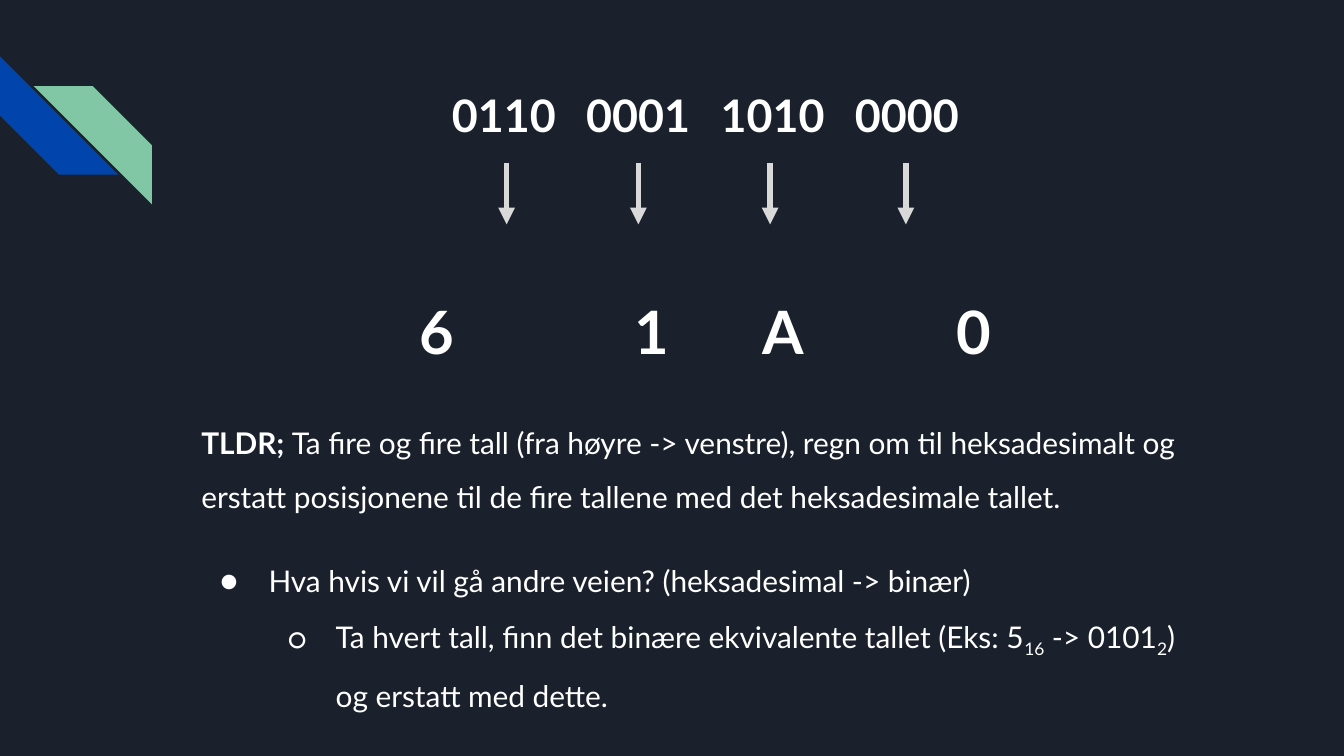
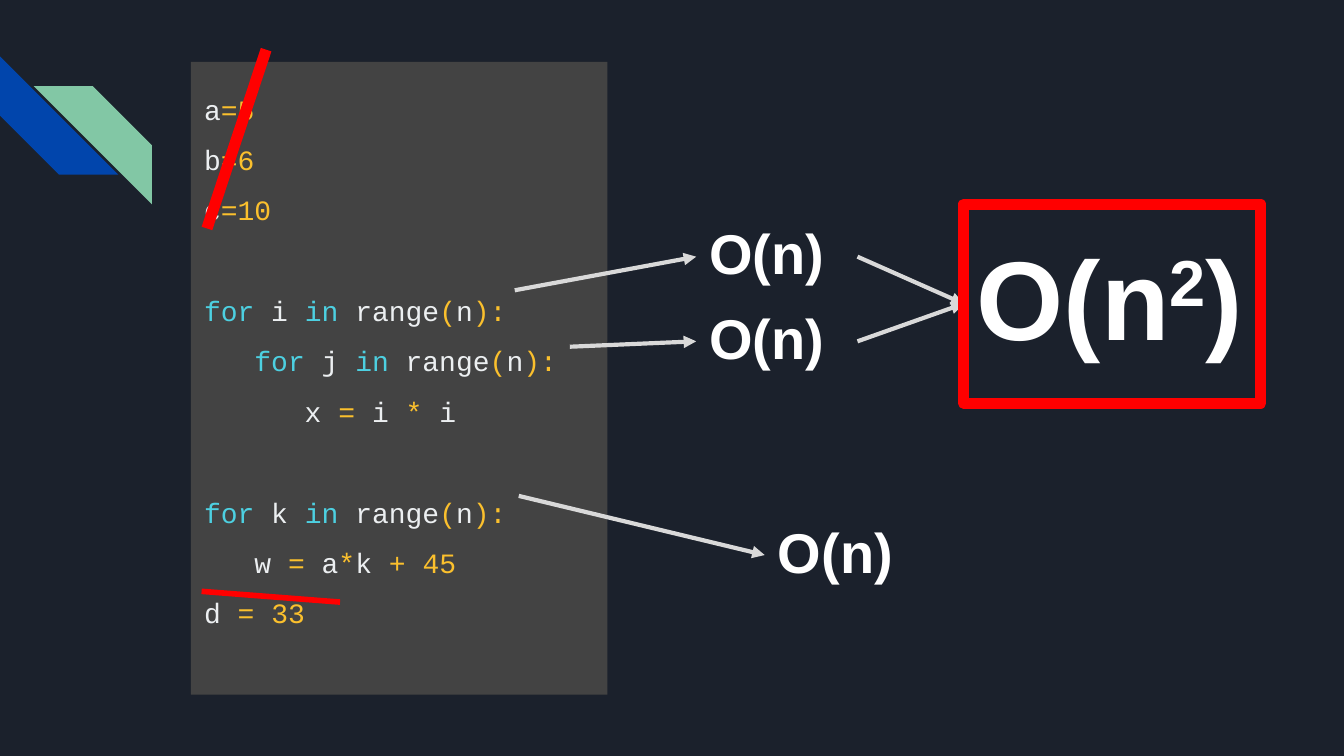
from itertools import groupby

from lxml import etree
from pptx import Presentation
from pptx.dml.color import RGBColor
from pptx.enum.shapes import MSO_CONNECTOR, MSO_SHAPE
from pptx.enum.text import MSO_ANCHOR, PP_ALIGN
from pptx.oxml.ns import qn
from pptx.util import Inches, Pt

STRAIGHT = MSO_CONNECTOR.STRAIGHT
RECTANGLE = MSO_SHAPE.RECTANGLE
DIAGONAL_STRIPE = MSO_SHAPE.DIAGONAL_STRIPE
TOP = MSO_ANCHOR.TOP
LEFT = PP_ALIGN.LEFT

NAVY = RGBColor(0x1B, 0x21, 0x2C)
BLUE = RGBColor(0x01, 0x45, 0xAC)
GREEN = RGBColor(0x82, 0xC7, 0xA5)
WHITE = RGBColor(0xFF, 0xFF, 0xFF)
LIGHT_GRAY = RGBColor(0xD9, 0xD9, 0xD9)
CODE_GRAY = RGBColor(0x43, 0x43, 0x43)
CODE_TEXT = RGBColor(0xEC, 0xEF, 0xF1)
CODE_AMBER = RGBColor(0xFB, 0xC0, 0x2D)
CODE_CYAN = RGBColor(0x4D, 0xD0, 0xE1)
RED = RGBColor(0xFF, 0x00, 0x00)

BODY = {"name": "Lato", "size": Pt(16), "color": WHITE, "bold": False}
BODY_BOLD = {**BODY, "bold": True}
CODE = {"name": "Courier New", "size": Pt(15)}
COST = {"name": "Arial", "size": Pt(30), "color": WHITE, "bold": True}
RESULT = {**COST, "size": Pt(60)}

KEYWORDS = {"for", "in"}
CODE_BLOCKS = [
    ["a=5", "b=6", "c=10"],
    ["for i in range(n):", "   for j in range(n):", "      x = i * i"],
    ["for k in range(n):", "   w = a*k + 45", "d = 33"],
]


# Text
def add_run(paragraph, text, formats, baseline=0):
    run = paragraph.add_run()
    run.text = text
    for name, value in formats.items():
        if name == "color":
            run.font.color.rgb = value
        else:
            setattr(run.font, name, value)
    if baseline:
        run._r.get_or_add_rPr().set("baseline", str(baseline * 1000))


def set_frame(shape):
    frame = shape.text_frame
    margins = ("margin_left", "margin_top", "margin_right", "margin_bottom")
    for margin in margins:
        setattr(frame, margin, Inches(0.1))
    frame.word_wrap = True
    frame.vertical_anchor = TOP
    return frame


def add_text_box(slide, left, top, width, height):
    box = slide.shapes.add_textbox(
        Inches(left), Inches(top), Inches(width), Inches(height))
    return set_frame(box)


def add_paragraph(frame, **settings):
    """Use the empty first paragraph of a frame, then add new ones."""
    first = frame.paragraphs[0]
    paragraph = frame.add_paragraph() if first.runs else first
    for name, value in settings.items():
        setattr(paragraph, name, value)
    return paragraph


def add_bullet(paragraph, character, indent):
    properties = paragraph._p.get_or_add_pPr()
    properties.set("marL", str(Inches(indent)))
    properties.set("indent", str(Inches(-0.36)))
    color = etree.SubElement(properties, qn("a:buClr"))
    etree.SubElement(color, qn("a:srgbClr"), val=str(WHITE))
    etree.SubElement(properties, qn("a:buSzPts"), val="1600")
    etree.SubElement(properties, qn("a:buFont"), typeface=BODY["name"])
    etree.SubElement(properties, qn("a:buChar"), char=character)


def add_columns(paragraph, values, centres, size):
    """Centre each value under its own tab stop."""
    tabs = etree.SubElement(paragraph._p.get_or_add_pPr(), qn("a:tabLst"))
    for centre in centres:
        etree.SubElement(
            tabs, qn("a:tab"), pos=str(Inches(centre)), algn="ctr")
    text = "".join("\t" + value for value in values)
    add_run(paragraph, text, {**BODY_BOLD, "size": Pt(size)})


# Shapes and lines
def add_shape(slide, kind, left, top, width, height, fill=None):
    shape = slide.shapes.add_shape(
        kind, Inches(left), Inches(top), Inches(width), Inches(height))
    shape.shadow.inherit = False
    shape.line.fill.background()
    if fill is None:
        shape.fill.background()
    else:
        shape.fill.solid()
        shape.fill.fore_color.rgb = fill
    return shape


def add_line(slide, start, end, color, width, arrow=False):
    points = [Inches(value) for value in (*start, *end)]
    connector = slide.shapes.add_connector(STRAIGHT, *points)
    connector.line.color.rgb = color
    connector.line.width = Pt(width)
    if arrow:
        line = connector.line._get_or_add_ln()
        etree.SubElement(line, qn("a:tailEnd"), type="triangle")
    etree.SubElement(connector._element.spPr, qn("a:effectLst"))


def add_base_slide(presentation):
    slide = presentation.slides.add_slide(presentation.slide_layouts[6])
    slide.background.fill.solid()
    slide.background.fill.fore_color.rgb = NAVY
    blue = add_shape(slide, DIAGONAL_STRIPE, 0, 0.42, 0.88, 0.88, BLUE)
    blue.rotation = 270
    green = add_shape(slide, DIAGONAL_STRIPE, 0.25, 0.64, 0.88, 0.88, GREEN)
    green._element.spPr.find(qn("a:xfrm")).set("flipH", "1")
    return slide


# Slide 1: binary to hexadecimal
def build_hexadecimal_slide(presentation):
    slide = add_base_slide(presentation)
    frame = add_text_box(slide, 1.4, 0.49, 7.7, 4.76)

    nibbles = add_paragraph(frame, line_spacing=1.15)
    add_columns(nibbles, ["0110", "0001", "1010", "0000"],
                [2.25, 3.25, 4.25, 5.25], 24)
    digits = add_paragraph(frame, line_spacing=1.5, space_before=Pt(63))
    add_columns(digits, "61A0", [1.75, 3.35, 4.33, 5.75], 32)

    summary = add_paragraph(frame, line_spacing=1.5, space_before=Pt(22))
    add_run(summary, "TLDR; ", BODY_BOLD)
    add_run(summary, "Ta fire og fire tall (fra høyre -> venstre), regn om "
            "til heksadesimalt og erstatt posisjonene til de fire tallene "
            "med det heksadesimale tallet.", BODY)

    question = add_paragraph(frame, line_spacing=1.5, space_before=Pt(16))
    add_bullet(question, "●", 0.5)
    add_run(question,
            "Hva hvis vi vil gå andre veien? (heksadesimal -> binær)", BODY)

    answer = add_paragraph(frame, line_spacing=1.5, level=1)
    add_bullet(answer, "○", 1)
    for text, baseline in [
        ("Ta hvert tall, finn det binære ekvivalente tallet (Eks: 5", 0),
        ("16", -25), (" -> 0101", 0), ("2", -25),
        (") og erstatt med dette.", 0),
    ]:
        add_run(answer, text, BODY, baseline)

    for x in (3.77, 4.75, 5.73, 6.74):
        add_line(slide, (x, 1.21), (x, 1.67), LIGHT_GRAY, 3, arrow=True)


# Slide 2: running time of nested loops
def code_kind(character):
    if character.isspace():
        return "space"
    return "word" if character.isalpha() else "symbol"


def add_code_line(paragraph, line):
    for kind, characters in groupby(line, code_kind):
        text = "".join(characters)
        color = CODE_AMBER if kind == "symbol" else CODE_TEXT
        if text in KEYWORDS:
            color = CODE_CYAN
        add_run(paragraph, text, {**CODE, "color": color})


def add_code_panel(slide):
    panel = add_shape(slide, RECTANGLE, 1.42, 0.46, 3.1, 4.71, CODE_GRAY)
    frame = set_frame(panel)
    for block_index, block in enumerate(CODE_BLOCKS):
        for line_index, line in enumerate(block):
            paragraph = add_paragraph(frame, alignment=LEFT, line_spacing=1.5)
            if block_index and not line_index:
                paragraph.space_before = Pt(27)
            add_code_line(paragraph, line)


def build_complexity_slide(presentation):
    slide = add_base_slide(presentation)
    add_code_panel(slide)

    # Cost of each loop
    for left, top in [(5.69, 3.75), (5.18, 1.53), (5.18, 2.16)]:
        frame = add_text_box(slide, left, top, 1.2, 0.76)
        add_run(add_paragraph(frame), "O(n)", COST)

    # Combined cost
    frame = add_text_box(slide, 7.17, 1.6, 2.6, 1.32)
    result = add_paragraph(frame)
    for text, baseline in [("O(n", 0), ("2", 30), (")", 0)]:
        add_run(result, text, RESULT, baseline)

    for start, end in [
        ((4.24, 2.58), (5.18, 2.54)),
        ((3.83, 2.16), (5.18, 1.91)),
        ((3.86, 3.69), (5.69, 4.13)),
        ((6.38, 1.91), (7.17, 2.26)),
        ((6.38, 2.54), (7.17, 2.26)),
    ]:
        add_line(slide, start, end, LIGHT_GRAY, 2.25, arrow=True)

    # Red marks
    result_frame = add_shape(slide, RECTANGLE, 7.17, 1.52, 2.21, 1.48)
    result_frame.line.color.rgb = RED
    result_frame.line.width = Pt(6)
    etree.SubElement(result_frame.line._get_or_add_ln(), qn("a:round"))
    add_line(slide, (1.54, 1.7), (1.98, 0.37), RED, 6)
    add_line(slide, (1.5, 4.4), (2.53, 4.48), RED, 3)


def main():
    presentation = Presentation()
    presentation.slide_width = Inches(10)
    presentation.slide_height = Inches(10 * 9 / 16)
    build_hexadecimal_slide(presentation)
    build_complexity_slide(presentation)
    presentation.save("out.pptx")


if __name__ == "__main__":
    main()
